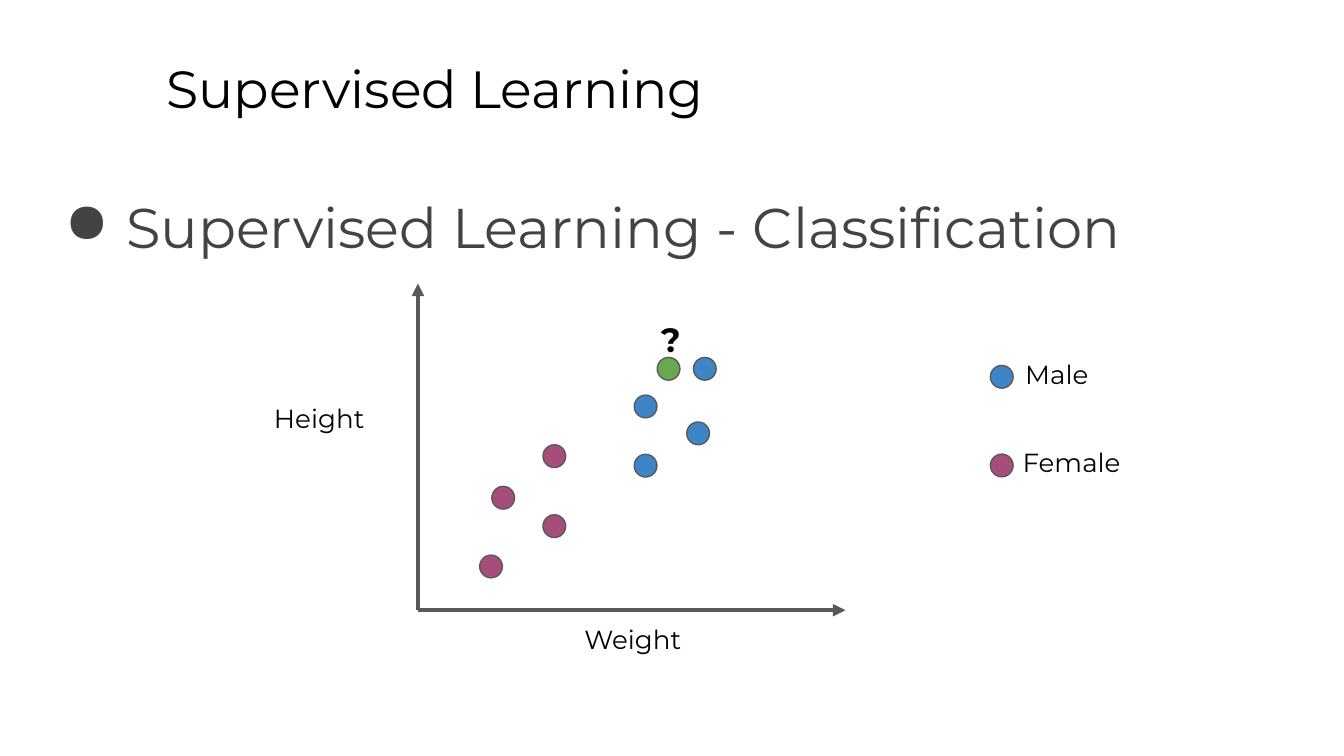
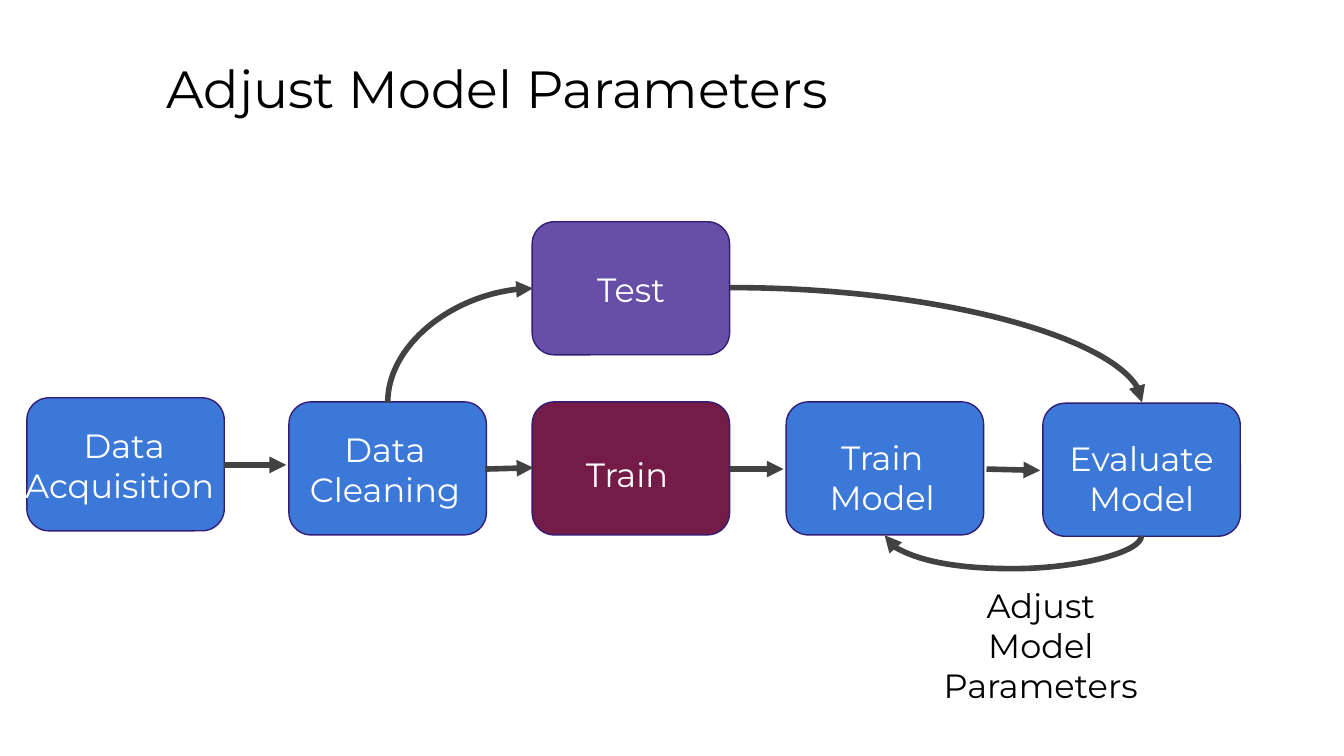
import pptx
import pptx.util
import pptx.dml.color
import pptx.enum.shapes
import pptx.enum.text
import pptx.oxml.ns
from lxml import etree

Pt = pptx.util.Pt
RGB = pptx.dml.color.RGBColor
Shape = pptx.enum.shapes.MSO_SHAPE
Link = pptx.enum.shapes.MSO_CONNECTOR
Align = pptx.enum.text.PP_ALIGN
qn = pptx.oxml.ns.qn

BLACK = RGB(0x00, 0x00, 0x00)
WHITE = RGB(0xFF, 0xFF, 0xFF)
DARK = RGB(0x43, 0x43, 0x43)
ARROW = RGB(0x42, 0x42, 0x42)
GREY = RGB(0x59, 0x59, 0x59)
PINK = RGB(0xA6, 0x4D, 0x79)
BLUE = RGB(0x3D, 0x85, 0xC6)
GREEN = RGB(0x6A, 0xA8, 0x4F)
STEP = RGB(0x3C, 0x78, 0xD8)
VIOLET = RGB(0x67, 0x4E, 0xA7)
WINE = RGB(0x74, 0x1B, 0x47)
EDGE = RGB(0x35, 0x1C, 0x75)

FONT = "Montserrat"
DOT = 12.2
NODE = (105.8, 71.3)
LABEL = (94.3, 35.3)
FRAME = dict(word_wrap=True, margin_left=Pt(7.2), margin_right=Pt(7.2),
             margin_top=Pt(7.2), margin_bottom=Pt(7.2),
             auto_size=pptx.enum.text.MSO_AUTO_SIZE.NONE,
             vertical_anchor=pptx.enum.text.MSO_ANCHOR.TOP)


def assign(item, values):
    for key, value in values.items():
        setattr(item, key, value)


def write(shape, text, size, color=BLACK, align=Align.LEFT, bold=False):
    frame = shape.text_frame
    frame.text = text
    assign(frame, FRAME)
    for para in frame.paragraphs:
        para.alignment = align
        for run in para.runs:
            assign(run.font, dict(name=FONT, size=Pt(size), bold=bold))
            run.font.color.rgb = color


def label(slide, text, x, y, w, h, size, **style):
    box = slide.shapes.add_textbox(Pt(x), Pt(y), Pt(w), Pt(h))
    write(box, text, size, **style)
    return box


def block(slide, kind, x, y, w, h, fill, edge):
    shape = slide.shapes.add_shape(kind, Pt(x), Pt(y), Pt(w), Pt(h))
    shape.shadow.inherit = False
    shape.fill.solid()
    shape.fill.fore_color.rgb = fill
    shape.line.color.rgb = edge
    shape.line.width = Pt(0.75)
    return shape


def dot(slide, x, y, fill):
    block(slide, Shape.OVAL, x, y, DOT, DOT, fill, GREY)


def arrow(slide, start, end, color, width, kind=Link.STRAIGHT):
    link = slide.shapes.add_connector(kind, *map(Pt, start + end))
    link.line.color.rgb = color
    link.line.width = Pt(width)
    props = link._element.spPr
    line = props.find(qn("a:ln"))
    etree.SubElement(line, qn("a:tailEnd"), type="triangle")
    etree.SubElement(props, qn("a:effectLst"))
    return props


def curve(slide, start, end, turn=0, bend=None):
    """Curved arrow; the box is given before it is turned."""
    props = arrow(slide, start, end, ARROW, 3, Link.CURVE)
    geom = props.find(qn("a:prstGeom"))
    props.find(qn("a:xfrm")).set("rot", str(turn * 60000))
    if bend is None:
        geom.set("prst", "curvedConnector2")
        return
    guides = geom.find(qn("a:avLst"))
    if guides is None:
        guides = etree.SubElement(geom, qn("a:avLst"))
    etree.SubElement(guides, qn("a:gd"), name="adj1", fmla=f"val {bend}")


def page(deck, title):
    slide = deck.slides.add_slide(deck.slide_layouts[5])
    head = slide.shapes.title
    assign(head, dict(left=Pt(82), top=Pt(23), width=Pt(613.4), height=Pt(45.4)))
    write(head, title, 28)
    return slide


def bullet(slide, text, x, y, w, h):
    box = label(slide, text, x, y, w, h, 30, color=DARK)
    para = box.text_frame.paragraphs[0]
    para.line_spacing = 1.15
    props = para._p.get_or_add_pPr()
    props.set("marL", str(Pt(36)))
    props.set("indent", str(Pt(-33)))
    tint = etree.SubElement(props, qn("a:buClr"))
    etree.SubElement(tint, qn("a:srgbClr"), val=str(DARK))
    etree.SubElement(props, qn("a:buChar"), char="●")


def plot(slide, x, y, w, h):
    # Axes
    base = (x, y + h)
    for end in ((x, y), (x + w, y + h)):
        arrow(slide, base, end, GREY, 2.25)
    label(slide, "Height", x - 84.2, y + 56.2, *LABEL, 14)
    label(slide, "Weight", x + 82.1, y + h, *LABEL, 14)
    # Points
    groups = (
        (PINK, ((39.6, 108.7), (67, 86.4), (33.1, 145.5), (67, 123.9))),
        (BLUE, ((115.9, 59.8), (115.9, 91.5), (144, 74.2), (147.6, 39.6))),
        (GREEN, ((128.2, 39.6),)),
    )
    for fill, spots in groups:
        for dx, dy in spots:
            dot(slide, x + dx, y + dy, fill)
    label(slide, "?", x + 123.1, y + 11.5, *LABEL, 18, bold=True)


def legend(slide, x, y, gap):
    rows = (("Male", BLUE, 11.5), ("Female", PINK, 10.1))
    for row, (text, fill, dx) in enumerate(rows):
        top = y + row * gap
        dot(slide, x, top, fill)
        label(slide, text, x + dx, top - 11.2, *LABEL, 14)


def flow(slide, x, y):
    # Steps: text, place, fill, text offset, text width
    steps = (
        ("Data\nAcquisition ", 0, 94.3, STEP, -9.4, 7.2, 123),
        ("Data\nCleaning", 140.4, 96.5, STEP, -10.1, 7.2, 123),
        ("Test", 270.7, 0, VIOLET, 13, 18, 80),
        ("Train", 270.7, 96.5, WINE, 10.8, 20.9, 80),
        ("Train\nModel", 406.8, 96.5, STEP, -10.1, 11.5, 123),
        ("Evaluate\nModel", 544.3, 97.2, STEP, -8.6, 11.5, 123),
    )
    for text, left, top, fill, dx, dy, wide in steps:
        left, top = x + left, y + top
        block(slide, Shape.ROUNDED_RECTANGLE, left, top, *NODE, fill, EDGE)
        label(slide, text, left + dx, top + dy, wide, 47.5, 18,
              color=WHITE, align=Align.CENTER)

    def spot(dx, dy):
        return x + dx, y + dy

    # Straight arrows
    for x1, y1, x2, y2 in ((105.8, 130.3, 139, 130.3),
                           (245.5, 132.5, 271.4, 131.8),
                           (376.6, 132.5, 405.4, 132.5),
                           (514.1, 132.5, 542.9, 133.2)):
        arrow(slide, spot(x1, y1), spot(x2, y2), ARROW, 3)
    # Curved arrows
    curve(slide, spot(201.6, 27.4), spot(262.8, 105.2), 270)
    curve(slide, spot(376.6, 35.3), spot(597.4, 96.8))
    curve(slide, spot(528.51, 99.4), spot(528.1, 236.9), 90, -4409700)
    label(slide, "Adjust Model Parameters", *spot(481.7, 187.2), 123, 47.5, 18,
          align=Align.CENTER)


def main():
    deck = pptx.Presentation()
    assign(deck, dict(slide_width=Pt(720), slide_height=Pt(405)))

    slide = page(deck, "Supervised Learning")
    bullet(slide, "Supervised Learning - Classification", 24.5, 90.7, 671, 50.4)
    plot(slide, 223.9, 151.9, 229, 175)
    legend(slide, 530.6, 195.8, 47.5)

    slide = page(deck, "Adjust Model Parameters")
    flow(slide, 14.4, 118.8)

    deck.save("out.pptx")


if __name__ == "__main__":
    main()
